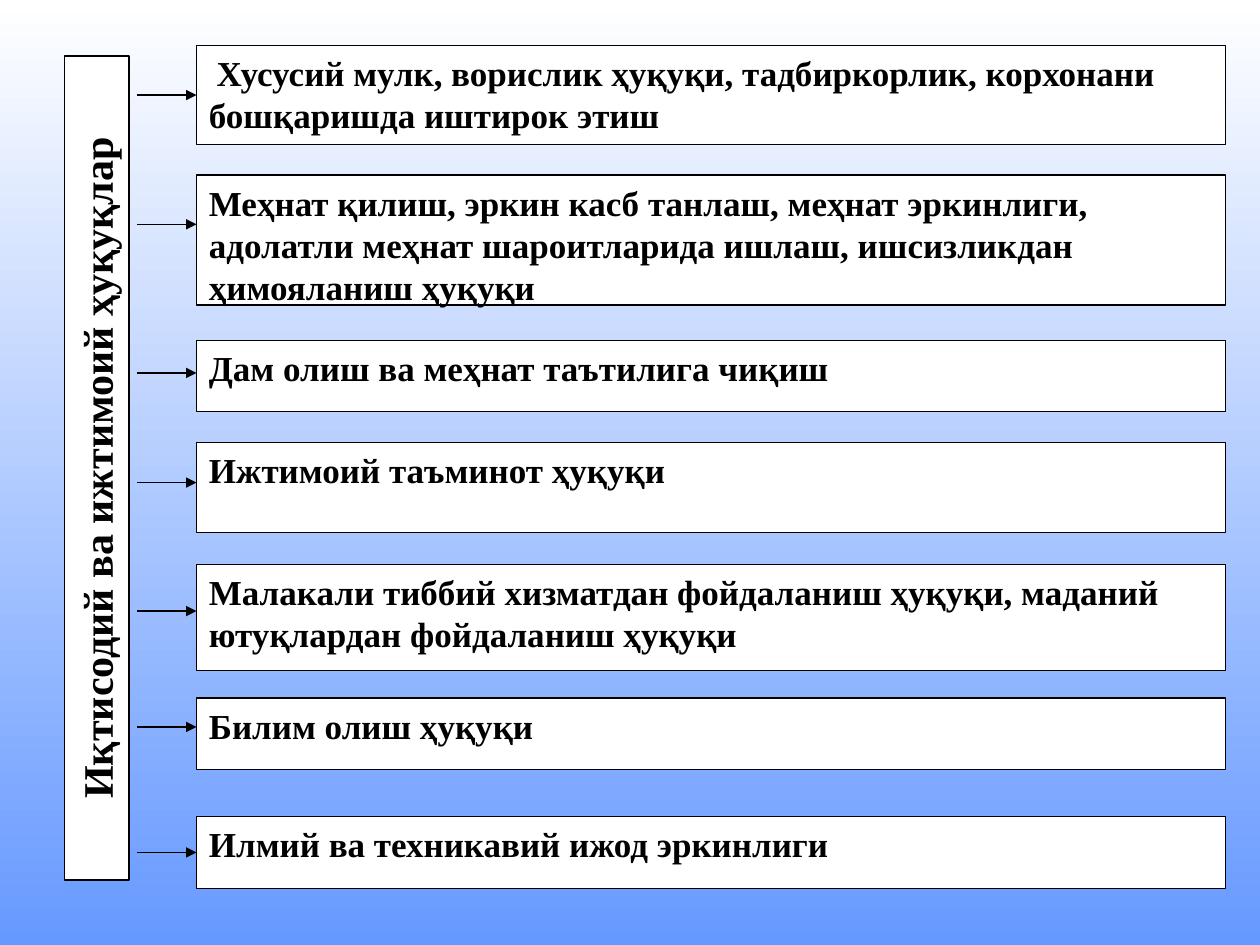
from dataclasses import dataclass

import pptx
import pptx.dml.color
import pptx.enum.shapes
import pptx.enum.text
import pptx.oxml
import pptx.oxml.ns
import pptx.util

Pt = pptx.util.Pt
RGB = pptx.dml.color.RGBColor
ALIGN = pptx.enum.text.PP_ALIGN
FIT = pptx.enum.text.MSO_AUTO_SIZE


@dataclass(frozen=True)
class Theme:
    """Colours, fonts and sizes of the slide."""
    ink: RGB = RGB(0, 0, 0)
    paper: RGB = RGB(255, 255, 255)
    sky: RGB = RGB(0x66, 0x99, 0xFF)
    font: str = "Times New Roman"
    lead_font: str = "Cambria"
    right_size: float = 20
    title_size: float = 24
    line: float = 0.75


THEME = Theme()
TITLE = "Иқтисодий ва ижтимоий ҳуқуқлар"
RIGHTS = [
    (25.9, 56.9, 54.35, [(" ", THEME.lead_font), ("Хусусий мулк, ворислик ҳуқуқи, тадбиркорлик, корхонани бошқаришда иштирок этиш", THEME.font)]),
    (100.1, 74.2, 128.2, [("Меҳнат қилиш, эркин касб танлаш, меҳнат эркинлиги, адолатли меҳнат шароитларида ишлаш, ишсизликдан ҳимояланиш ҳуқуқи", THEME.font)]),
    (194.4, 41, 213.1, [("Дам олиш ва меҳнат таътилига чиқиш", THEME.font)]),
    (252.7, 51.8, 275.8, [("Ижтимоий таъминот ҳуқуқи", THEME.font)]),
    (322.6, 60.5, 349.2, [("Малакали тиббий хизматдан фойдаланиш ҳуқуқи, маданий ютуқлардан фойдаланиш ҳуқуқи", THEME.font)]),
    (398.9, 41, 415.4, [("Билим олиш ҳуқуқи", THEME.font)]),
    (466.6, 41, 487.1, [("Илмий ва техникавий ижод эркинлиги", THEME.font)]),
]


def apply(target, values):
    """Set every attribute named in values on target."""
    for name, value in values.items():
        setattr(target, name, value)


def paint_background(slide):
    """Fill the slide with a gradient from paper at the top to sky below."""
    fill = slide.background.fill
    fill.gradient()
    fill.gradient_angle = 270
    for stop, position, colour in zip(fill.gradient_stops, (0, 1), (THEME.paper, THEME.sky)):
        stop.position = position
        stop.color.rgb = colour


def add_panel(slide, box, runs, size, align, fit=FIT.NONE):
    """Place an outlined white rectangle with bold text in box."""
    panel = slide.shapes.add_shape(pptx.enum.shapes.MSO_SHAPE.RECTANGLE, *map(Pt, box))
    panel.shadow.inherit = False
    panel.fill.solid()
    panel.fill.fore_color.rgb = THEME.paper
    panel.line.color.rgb = THEME.ink
    panel.line.width = Pt(THEME.line)
    apply(panel.text_frame, {
        "word_wrap": True,
        "auto_size": fit,
        "vertical_anchor": pptx.enum.text.MSO_ANCHOR.TOP,
    })
    paragraph = panel.text_frame.paragraphs[0]
    paragraph.alignment = align
    for text, font in runs:
        run = paragraph.add_run()
        run.text = text
        apply(run.font, {"name": font, "size": Pt(size), "bold": True})
        run.font.color.rgb = THEME.ink
    return panel


def add_arrow(slide, start, panel, y):
    """Draw a level arrow at y from start to the left side of panel."""
    arrow = slide.shapes.add_connector(
        pptx.enum.shapes.MSO_CONNECTOR.STRAIGHT, Pt(start), Pt(y), panel.left, Pt(y))
    arrow.line.color.rgb = THEME.ink
    arrow.line.width = Pt(THEME.line)
    line = arrow.line._get_or_add_ln()
    pptx.oxml.ns.qn("a:tailEnd")
    line.append(pptx.oxml.parse_xml(
        f'<a:tailEnd {pptx.oxml.ns.nsdecls("a")} type="triangle"/>'))
    arrow._element.spPr.append(pptx.oxml.parse_xml(
        f'<a:effectLst {pptx.oxml.ns.nsdecls("a")}/>'))
    if abs(panel.top + panel.height / 2 - Pt(y)) < Pt(0.1):
        arrow.end_connect(panel, 1)


def add_title(slide, box):
    """Place the title bar, turned to read upwards, in the upright box."""
    left, top, width, height = box
    flat = (left + (width - height) / 2, top + (height - width) / 2, height, width)
    bar = add_panel(slide, flat, [(TITLE, THEME.font)], THEME.title_size,
                    ALIGN.CENTER, FIT.SHAPE_TO_FIT_TEXT)
    bar.rotation = 270


def add_rights(slide, left, width, arrow_start):
    """Stack the rights in a column, each with its arrow."""
    for top, height, arrow_y, runs in RIGHTS:
        panel = add_panel(slide, (left, top, width, height), runs,
                          THEME.right_size, ALIGN.LEFT)
        add_arrow(slide, arrow_start, panel, arrow_y)


def main():
    """Build the slide and save it."""
    deck = pptx.Presentation()
    apply(deck, {"slide_width": Pt(720), "slide_height": Pt(540)})
    slide = deck.slides.add_slide(deck.slide_layouts[6])
    paint_background(slide)
    add_rights(slide, 112.3, 588.2, 78.5)
    add_title(slide, (37, 32, 36.7, 470.9))
    deck.save("out.pptx")


if __name__ == "__main__":
    main()
